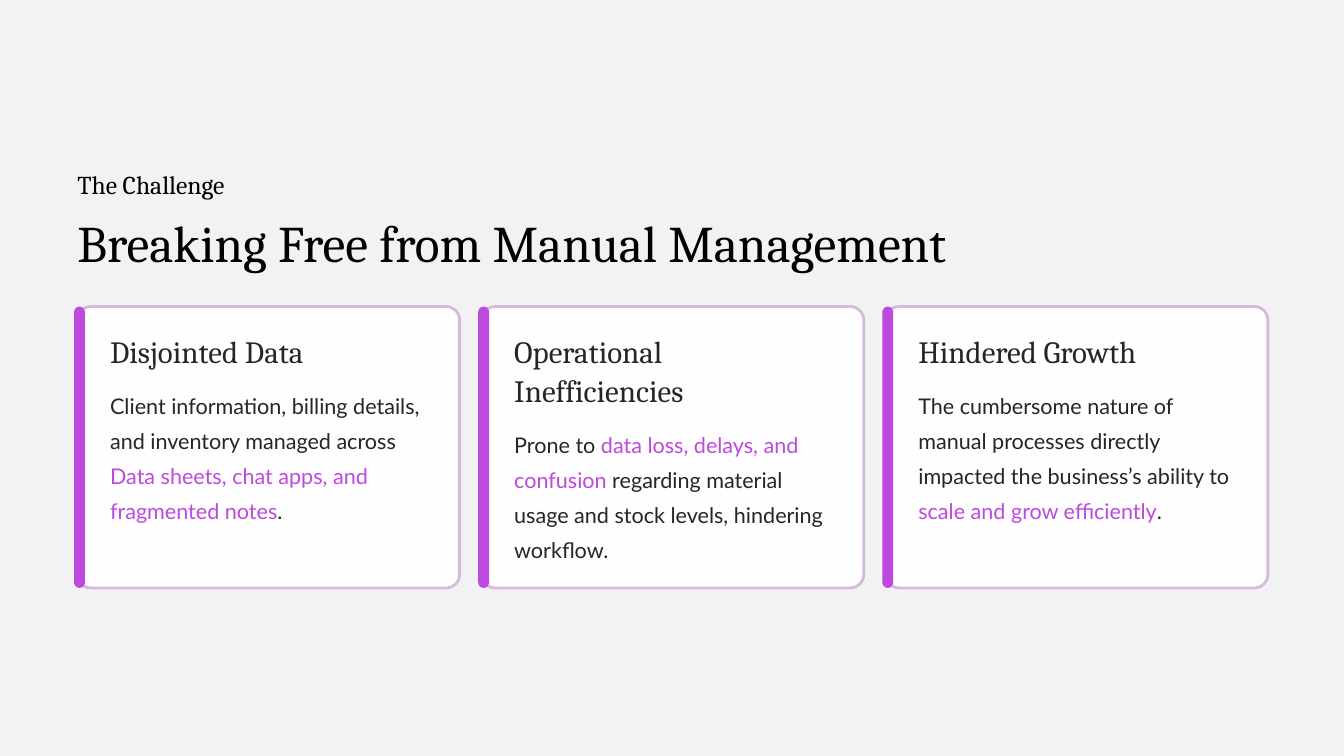
from lxml import etree
from pptx import Presentation
from pptx.dml.color import RGBColor
from pptx.enum import shapes
from pptx.oxml import ns
from pptx.util import Cm, Pt

# Content: each card has a heading, its line count, and body runs (text, highlighted)
KICKER = "The Challenge"
TITLE = "Breaking Free from Manual Management"
CARDS = [
    ("Disjointed Data", 1, [
        ("Client information, billing details, and inventory managed across ", False),
        ("Data sheets, chat apps, and fragmented notes", True),
        (".", False)]),
    ("Operational Inefficiencies", 2, [
        ("Prone to ", False),
        ("data loss, delays, and confusion", True),
        (" regarding material usage and stock levels, hindering workflow.", False)]),
    ("Hindered Growth", 1, [
        ("The cumbersome nature of manual processes directly impacted "
         "the business’s ability to ", False),
        ("scale and grow efficiently", True),
        (".", False)]),
]

# Style
BACKGROUND = RGBColor(0xF2, 0xF2, 0xF2)
BLACK = RGBColor(0, 0, 0)
INK = RGBColor(0x27, 0x25, 0x25)
WHITE = RGBColor(0xFF, 0xFF, 0xFF)
PURPLE = RGBColor(0xBE, 0x49, 0xDF)
BORDER = RGBColor(0xD6, 0xBA, 0xDD)
SERIF, SANS = "Cambria", "Lato"

# Layout in centimetres
LEFT, CARD_TOP = 2.34, 9.27
CARD_WIDTH, CARD_HEIGHT, CARD_PITCH = 11.56, 8.51, 12.22
BAR_WIDTH, BAR_OVERHANG = 0.33, 0.1
TEXT_INSET, TEXT_WIDTH = 0.99, 9.8
HEADING_TOP, HEADING_LINE, HEADING_GAP, BODY_HEIGHT = 10.03, 1.17, 0.41, 4.27


def add_text(slide, runs, left, top, width, height, *, size, spacing,
             font=SERIF, color=BLACK, wrap=False):
    """Add one paragraph; runs is a string or a list of (text, highlighted)."""
    box = slide.shapes.add_textbox(Cm(left), Cm(top), Cm(width), Cm(height))
    frame = box.text_frame
    frame.word_wrap = wrap
    frame.margin_left = frame.margin_right = frame.margin_top = frame.margin_bottom = 0
    paragraph = frame.paragraphs[0]
    paragraph.line_spacing = Pt(spacing)
    for words, highlighted in [(runs, False)] if isinstance(runs, str) else runs:
        run = paragraph.add_run()
        run.text = words
        run.font.name, run.font.size = font, Pt(size)
        run.font.color.rgb = PURPLE if highlighted else color


def add_panel(slide, left, width, rounding, fill):
    shape = slide.shapes.add_shape(
        shapes.MSO_SHAPE.ROUNDED_RECTANGLE,
        Cm(left), Cm(CARD_TOP), Cm(width), Cm(CARD_HEIGHT))
    shape.adjustments[0] = rounding
    shape.shadow.inherit = False
    shape.fill.solid()
    shape.fill.fore_color.rgb = fill
    shape.line.fill.background()
    return shape


def add_card(slide, left, heading, heading_lines, body):
    # Translucent panel with an accent bar on its left edge
    panel = add_panel(slide, left, CARD_WIDTH, 0.048, WHITE)
    panel.line.color.rgb = BORDER
    panel.line.width = Pt(2.4)
    color = panel.fill._xPr.find(".//" + ns.qn("a:srgbClr"))
    etree.SubElement(color, ns.qn("a:alpha"), val="95000")
    add_panel(slide, left - BAR_OVERHANG, BAR_WIDTH, 0.5, PURPLE)

    # Heading, with the body placed below its last line
    text_left = left + TEXT_INSET
    heading_height = heading_lines * HEADING_LINE
    add_text(slide, heading, text_left, HEADING_TOP, TEXT_WIDTH, heading_height,
             size=26.5, spacing=33, color=INK, wrap=heading_lines > 1)
    add_text(slide, body, text_left, HEADING_TOP + heading_height + HEADING_GAP,
             TEXT_WIDTH, BODY_HEIGHT,
             size=18.5, spacing=30, font=SANS, color=INK, wrap=True)


def main():
    presentation = Presentation()
    presentation.slide_width, presentation.slide_height = Cm(40.64), Cm(22.86)
    slide = presentation.slides.add_slide(presentation.slide_layouts[6])
    slide.background.fill.solid()
    slide.background.fill.fore_color.rgb = BACKGROUND

    # Titles
    add_text(slide, KICKER, LEFT, 5.08, 7.82, 0.97, size=22, spacing=27.5)
    add_text(slide, TITLE, LEFT, 6.32, 30.89, 1.96, size=44, spacing=55)

    # Cards
    for index, card in enumerate(CARDS):
        add_card(slide, LEFT + index * CARD_PITCH, *card)

    presentation.save("out.pptx")


if __name__ == "__main__":
    main()
